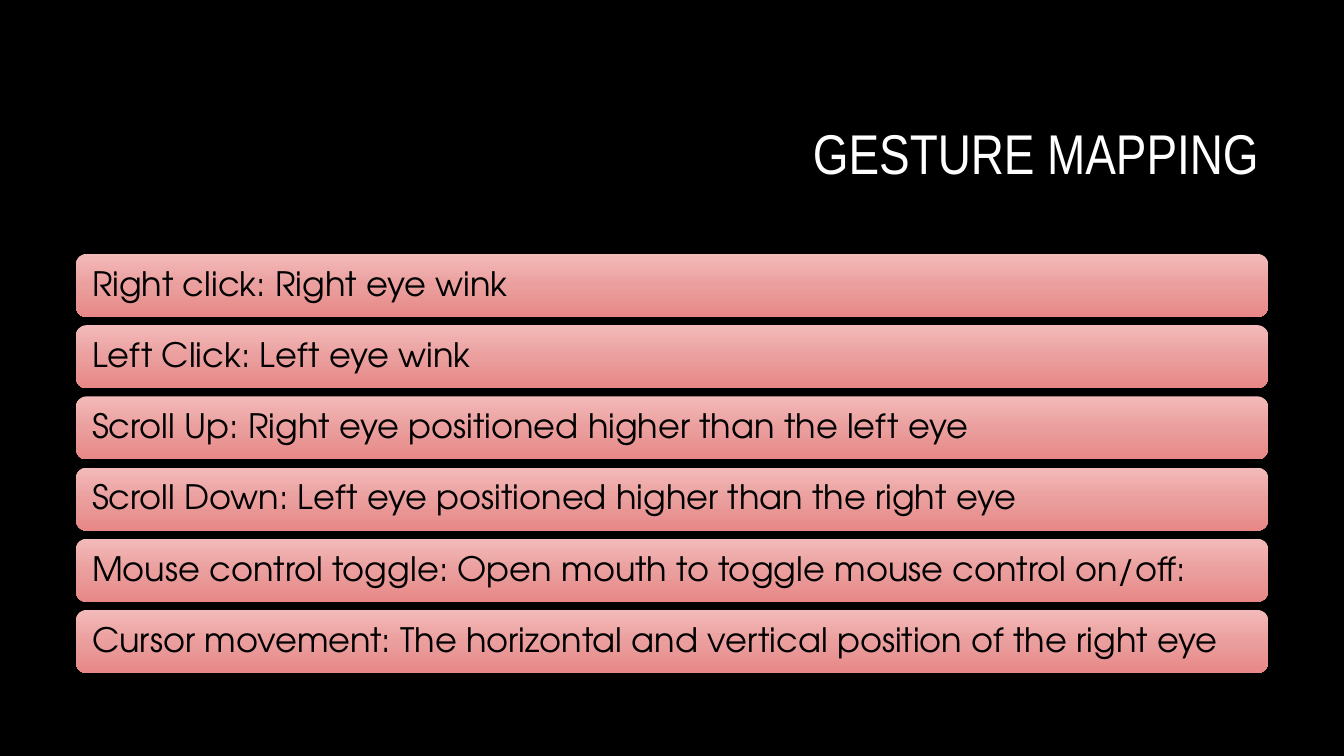
"""Build the gesture mapping slide."""
import copy
import pptx
import pptx.dml.color
import pptx.enum.shapes
import pptx.enum.text
import pptx.util

RGB = pptx.dml.color.RGBColor
ALIGN = pptx.enum.text.PP_ALIGN

TITLE = "GESTURE MAPPING"
GESTURES = [
    "Right click: Right eye wink",
    "Left Click: Left eye wink",
    "Scroll Up: Right eye positioned higher than the left eye",
    "Scroll Down: Left eye positioned higher than the right eye",
    "Mouse control toggle: Open mouth to toggle mouse control on/off:",
    "Cursor movement: The horizontal and vertical position of the right eye",
]

BLACK = RGB(0x00, 0x00, 0x00)
WHITE = RGB(0xFF, 0xFF, 0xFF)
STOPS = [
    (0, RGB(0xF3, 0xBA, 0xB9)),
    (0.52, RGB(0xEA, 0x9E, 0x9D)),
    (1, RGB(0xE7, 0x88, 0x87)),
]

SCALE = 914400 / 100.8
WIDTH, HEIGHT = 1344, 756
TITLE_BOX = (320, 85, 949, 142)
LEFT, FIRST, LAST = 76, 254, 610
BAR_W, BAR_H = 1192, 63
INSET = 13


def px(n):
    return pptx.util.Emu(round(n * SCALE))


def write(shape, text, size, font, color, align, inset):
    frame = shape.text_frame
    frame.text = text
    frame.word_wrap = True
    frame.vertical_anchor = pptx.enum.text.MSO_ANCHOR.MIDDLE
    frame.margin_left = frame.margin_right = px(inset)
    frame.margin_top = frame.margin_bottom = 0
    line = frame.paragraphs[0]
    line.alignment = align
    line.line_spacing = 0.9
    run = line.runs[0]
    run.font.size = pptx.util.Pt(size)
    run.font.name = font
    run.font.color.rgb = color


def shade(shape):
    fill = shape.fill
    fill.gradient()
    fill.gradient_angle = 270
    stops = shape.element.spPr.xpath(".//a:gsLst")[0]
    stops.append(copy.deepcopy(stops[0]))
    for stop, (place, color) in zip(fill.gradient_stops, STOPS):
        stop.position = place
        stop.color.rgb = color


def main():
    deck = pptx.Presentation()
    deck.slide_width, deck.slide_height = px(WIDTH), px(HEIGHT)
    slide = deck.slides.add_slide(deck.slide_layouts[6])
    slide.background.fill.solid()
    slide.background.fill.fore_color.rgb = BLACK

    title = slide.shapes.add_textbox(*map(px, TITLE_BOX))
    write(title, TITLE, 40, "Arial Narrow", WHITE, ALIGN.RIGHT, 10)

    pitch = (LAST - FIRST) / (len(GESTURES) - 1)
    for row, text in enumerate(GESTURES):
        box = (LEFT, FIRST + row * pitch, BAR_W, BAR_H)
        bar = slide.shapes.add_shape(
            pptx.enum.shapes.MSO_SHAPE.ROUNDED_RECTANGLE, *map(px, box))
        bar.shadow.inherit = False
        bar.line.fill.background()
        shade(bar)
        write(bar, text, 24, "TeX Gyre Adventor", BLACK, ALIGN.LEFT, INSET)

    deck.save("out.pptx")


if __name__ == "__main__":
    main()
